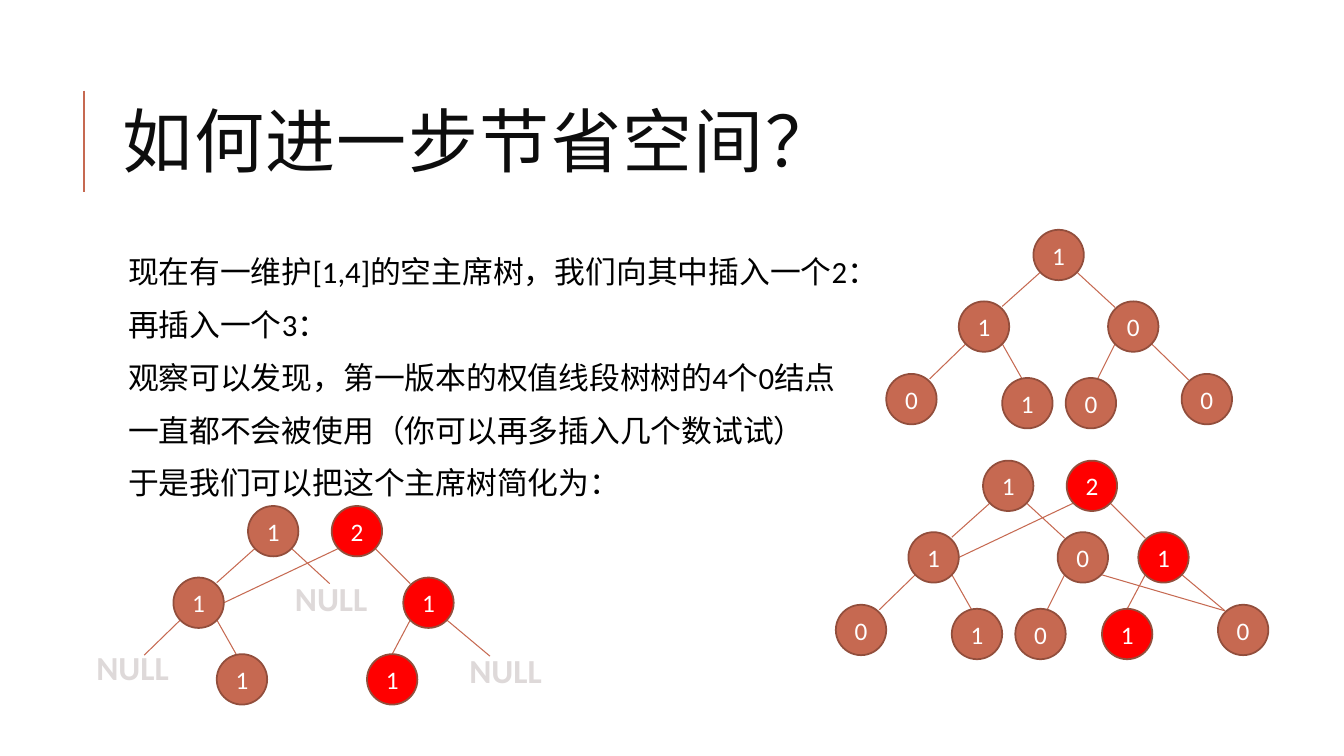
from lxml import etree
from pptx import Presentation
from pptx.dml.color import RGBColor
from pptx.enum.lang import MSO_LANGUAGE_ID
from pptx.enum.shapes import MSO_CONNECTOR, MSO_SHAPE
from pptx.enum.text import MSO_ANCHOR, PP_ALIGN
from pptx.oxml.ns import qn
from pptx.util import Inches, Pt

STRAIGHT, OVAL = MSO_CONNECTOR.STRAIGHT, MSO_SHAPE.OVAL
TOP, MIDDLE = MSO_ANCHOR.TOP, MSO_ANCHOR.MIDDLE
LEFT, CENTER = PP_ALIGN.LEFT, PP_ALIGN.CENTER
CHINESE = MSO_LANGUAGE_ID.SIMPLIFIED_CHINESE

COLORS = {"clay": "C66951", "rim": "924E3C", "red": "FF0000", "white": "FFFFFF",
          "title": "0D0D0D", "body": "000000", "null": "DED9D9"}

TITLE = "如何进一步节省空间？"
BODY = ["现在有一维护[1,4]的空主席树，我们向其中插入一个2：",
        "再插入一个3：",
        "观察可以发现，第一版本的权值线段树树的4个0结点",
        "一直都不会被使用（你可以再多插入几个数试试）",
        "于是我们可以把这个主席树简化为："]

D = 0.5  # node diameter
# Top-left corner of every node within a tree's box
NODES = {"root": (1.46, 0), "left": (0.72, 0.71), "right": (2.2, 0.71),
         "leaf1": (0, 1.43), "leaf2": (1.15, 1.47), "leaf3": (1.78, 1.47),
         "leaf4": (2.93, 1.43), "shared": (3.79, 1.43),
         "new_root": (2.29, 0), "new_right": (3, 0.71), "new_leaf": (2.64, 1.47)}
# Points on a node where an edge may end
SITES = {"tl": (0.07, 0.06), "tr": (0.43, 0.05), "bl": (0.07, 0.42),
         "br": (0.43, 0.42), "r": (D, D / 2), "top": (D / 2, 0),
         "inner": (0.26, 0.12)}
EDGES = [("root", "bl", "left", "tr"), ("root", "br", "right", "tl"),
         ("left", "bl", "leaf1", "tr"), ("left", "br", "leaf2", "inner"),
         ("right", "bl", "leaf3", "inner"), ("right", "br", "leaf4", "tl"),
         ("right", "br", "shared", "tl"), ("new_root", "bl", "left", "r"),
         ("new_root", "br", "new_right", "tl"),
         ("new_right", "bl", "new_leaf", "top"),
         ("new_right", "br", "shared", "tl")]
# Top-left corner of the NULL label that replaces a dropped node
NULLS = {"leaf1": (-0.15, 1.35), "right": (1.82, 0.66), "shared": (3.55, 1.38)}

NEW_VERSION = {"new_root": "2", "new_right": "1", "new_leaf": "1"}
FIRST_TREE = {"root": "1", "left": "1", "right": "0", "leaf1": "0",
              "leaf2": "1", "leaf3": "0", "leaf4": "0"}
SECOND_TREE = {"root": "1", "left": "1", "right": "0", "leaf1": "0",
               "leaf2": "1", "leaf3": "0", "shared": "0", **NEW_VERSION}
REDUCED_TREE = {"root": "1", "left": "1", "leaf2": "1", **NEW_VERSION,
                "leaf1": None, "right": None, "shared": None}


def rgb(name):
    """Return the named colour."""
    return RGBColor.from_string(COLORS[name])


def write(sp, lines, size, color, font="Calibri", bold=False, align=LEFT,
          anchor=TOP, wrap=True, inset=None, spacing=None, before=0, after=0,
          indent=0, tracking=0, lang=None):
    """Fill a shape with one formatted paragraph per line."""
    tf = sp.text_frame
    tf.word_wrap, tf.vertical_anchor = wrap, anchor
    if inset is not None:
        tf.margin_left = tf.margin_right = Inches(inset)
        tf.margin_top = tf.margin_bottom = Inches(inset)
    for i, line in enumerate(lines):
        p = tf.add_paragraph() if i else tf.paragraphs[0]
        p.alignment, p.line_spacing = align, spacing
        p.space_before, p.space_after = Pt(before), Pt(after)
        if indent:
            p._p.get_or_add_pPr().set("marL", str(Inches(indent)))
        r = p.add_run()
        r.text = line
        r.font.name, r.font.size, r.font.bold = font, Pt(size), bold
        r.font.color.rgb = rgb(color)
        if lang:
            r.font.language_id = lang
        if tracking:
            r._r.get_or_add_rPr().set("spc", str(tracking * 100))


def add_text(shapes, box, lines, **fmt):
    """Add a text box at box (left, top, width, height)."""
    sp = shapes.add_textbox(*(Inches(v) for v in box))
    write(sp, lines, **fmt)


def add_line(shapes, start, end, width):
    """Draw a clay line between two points."""
    s = shapes.add_connector(STRAIGHT, *(Inches(v) for v in (*start, *end)))
    s.line.color.rgb, s.line.width = rgb("clay"), Pt(width)
    etree.SubElement(s._element.spPr, qn("a:effectLst"))


def add_node(shapes, x, y, label, fill):
    """Draw one round tree node."""
    s = shapes.add_shape(OVAL, Inches(x), Inches(y), Inches(D), Inches(D))
    s.shadow.inherit = False
    s.fill.solid()
    s.fill.fore_color.rgb = rgb(fill)
    s.line.color.rgb, s.line.width = rgb("rim"), Pt(1.25)
    write(s, [label], size=18, color="white", align=CENTER, anchor=MIDDLE,
          wrap=False)


def add_tree(slide, x, y, labels):
    """Draw a grouped tree at (x, y); a None label stands for NULL."""
    shapes = slide.shapes.add_group_shape().shapes

    def site(node, name):
        """Return the slide position of a node's edge site."""
        (nx, ny), (dx, dy) = NODES[node], SITES[name]
        return x + nx + dx, y + ny + dy

    for parent, out, child, into in EDGES:
        if labels.get(parent) and child in labels:
            add_line(shapes, site(parent, out), site(child, into), 0.75)
    for node, label in labels.items():
        if label is None:
            nx, ny = NULLS[node]
            add_text(shapes, (x + nx, y + ny, 0.93, 0.5), ["NULL"], size=24,
                     color="null", bold=True, align=CENTER, wrap=False)
        else:
            nx, ny = NODES[node]
            fill = "red" if node in NEW_VERSION else "clay"
            add_node(shapes, x + nx, y + ny, label, fill)


def add_heading(slide, x, y, w, h):
    """Place the title and the rule to its left."""
    add_line(slide.shapes, (x - 0.29, y + 0.26), (x - 0.29, y + 1.26), 1.5)
    add_text(slide.shapes, (x, y, w, h), [TITLE], size=50, color="title",
             font="Cabin", anchor=MIDDLE, spacing=0.8, tracking=1, lang=CHINESE)


def add_body(slide, x, y, w, h):
    """Place the explanation."""
    add_text(slide.shapes, (x, y, w, h), BODY, size=22, color="body",
             inset=0.05, spacing=0.9, before=12, after=2, indent=0.1,
             lang=CHINESE)


prs = Presentation()
prs.slide_width, prs.slide_height = Inches(13.33), Inches(7.5)
slide = prs.slides.add_slide(prs.slide_layouts[6])
add_heading(slide, 1.12, 0.64, 10.63, 1.64)
add_body(slide, 1.12, 2.5, 10.63, 4.4)
add_tree(slide, 8.79, 2.28, FIRST_TREE)
add_tree(slide, 8.29, 4.57, SECOND_TREE)
add_tree(slide, 1, 5.02, REDUCED_TREE)
prs.save("out.pptx")
